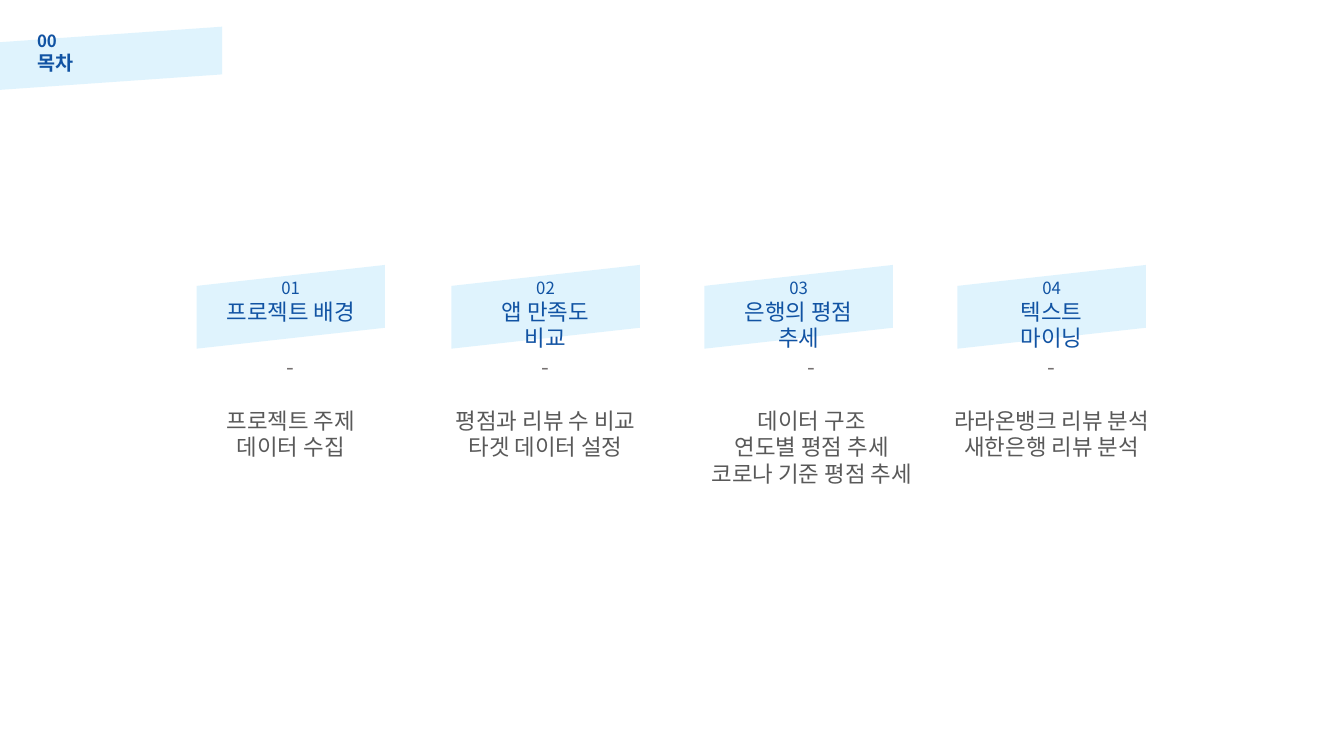
"""Build the table-of-contents slide with four slanted chapter cards."""
from dataclasses import dataclass

import pptx
import pptx.dml.color
import pptx.enum.shapes
import pptx.enum.text
import pptx.oxml.ns
import pptx.shapes.shapetree
import pptx.util
from lxml import etree

Pt = pptx.util.Pt
Shapes = pptx.shapes.shapetree.GroupShapes
Align = pptx.enum.text.PP_ALIGN

COLORS = {"band": "B0E3FC", "heading": "1153A3", "dash": "767171", "topic": "595959"}
FONT = "Noto Sans CJK KR"
LINE_FACTOR = 1.19
DETAIL_INDENT = 81


@dataclass(frozen=True)
class Line:
    text: str
    size: float
    color: str
    bold: bool = False
    gap_before: float = 0


@dataclass(frozen=True)
class Box:
    left: float
    top: float
    width: float
    height: float


@dataclass(frozen=True)
class Chapter:
    number: str
    title: str
    topics: tuple[str, ...]
    center: float
    title_width: float
    detail_width: float = 162
    detail_height: float = 85


CHAPTERS = (
    Chapter("01", "프로젝트 배경", ("프로젝트 주제", "데이터 수집"), 207.7, 116),
    Chapter("02", "앱 만족도 비교", ("평점과 리뷰 수 비교", "타겟 데이터 설정"), 389.7, 108),
    Chapter("03", "은행의 평점 추세", ("데이터 구조", "연도별 평점 추세", "코로나 기준 평점 추세"),
            570.5, 122, 180.7, 124),
    Chapter("04", "텍스트 마이닝", ("라라온뱅크 리뷰 분석", "새한은행 리뷰 분석"), 751.2, 101),
)


def add_band(shapes: Shapes, center_x: float, center_y: float, length: float, thickness: float) -> None:
    """Draw a translucent parallelogram turned on its side."""
    band = shapes.add_shape(
        pptx.enum.shapes.MSO_SHAPE.PARALLELOGRAM,
        Pt(center_x - thickness / 2), Pt(center_y - length / 2), Pt(thickness), Pt(length))
    band.adjustments[0] = 0.25
    band.rotation = 270
    band.shadow.inherit = False
    band.line.fill.background()
    band.fill.solid()
    band.fill.fore_color.rgb = pptx.dml.color.RGBColor.from_string(COLORS["band"])
    qn = pptx.oxml.ns.qn
    properties = band.element.spPr
    properties.find(qn("a:xfrm")).set("flipV", "1")
    tint = properties.find(qn("a:solidFill")).find(qn("a:srgbClr"))
    etree.SubElement(tint, qn("a:alpha")).set("val", "40000")


def add_text(shapes: Shapes, box: Box, lines: list[Line], align: Align, wrap: bool = True) -> None:
    """Write styled lines into a text box, one paragraph each."""
    frame = shapes.add_textbox(Pt(box.left), Pt(box.top), Pt(box.width), Pt(box.height)).text_frame
    frame.word_wrap = wrap
    frame.auto_size = pptx.enum.text.MSO_AUTO_SIZE.SHAPE_TO_FIT_TEXT
    for index, line in enumerate(lines):
        paragraph = frame.add_paragraph() if index else frame.paragraphs[0]
        paragraph.alignment = align
        paragraph.line_spacing = Pt(line.size * LINE_FACTOR)
        paragraph.space_before = Pt(line.gap_before)
        run = paragraph.add_run()
        run.text = line.text
        run.font.name = FONT
        run.font.size = Pt(line.size)
        run.font.bold = line.bold
        run.font.color.rgb = pptx.dml.color.RGBColor.from_string(COLORS[line.color])
        east_asian = etree.SubElement(run.font._element, pptx.oxml.ns.qn("a:ea"))
        east_asian.set("typeface", FONT)


def add_header(shapes: Shapes) -> None:
    """Draw the slide heading on its band."""
    add_band(shapes, 77.4, 41.8, 162.7, 45.4)
    heading = [Line("00", 12, "heading", bold=True), Line("목차", 14, "heading", bold=True)]
    add_text(shapes, Box(19.4, 18.7, 40.3, 38.9), heading, Align.LEFT, wrap=False)


def add_chapter(shapes: Shapes, chapter: Chapter) -> None:
    """Draw one chapter card with its band, title and topics."""
    add_band(shapes, chapter.center, 219.2, 134.6, 59.8)
    title = [Line(chapter.number, 12, "heading"), Line(chapter.title, 16, "heading")]
    title_left = chapter.center - chapter.title_width / 2
    add_text(shapes, Box(title_left, 195.1, chapter.title_width, 41), title, Align.CENTER)
    detail = [Line("-", 16, "dash")]
    for index, topic in enumerate(chapter.topics):
        detail.append(Line(topic, 16, "topic", gap_before=0 if index else 16 * LINE_FACTOR))
    detail_box = Box(chapter.center - DETAIL_INDENT, 249.1, chapter.detail_width, chapter.detail_height)
    add_text(shapes, detail_box, detail, Align.CENTER)


def main() -> None:
    """Assemble and save the slide."""
    deck = pptx.Presentation()
    deck.slide_width, deck.slide_height = Pt(960), Pt(540)
    slide = deck.slides.add_slide(deck.slide_layouts[6])
    add_header(slide.shapes.add_group_shape().shapes)
    for chapter in CHAPTERS:
        add_chapter(slide.shapes.add_group_shape().shapes, chapter)
    deck.save("out.pptx")


if __name__ == "__main__":
    main()
